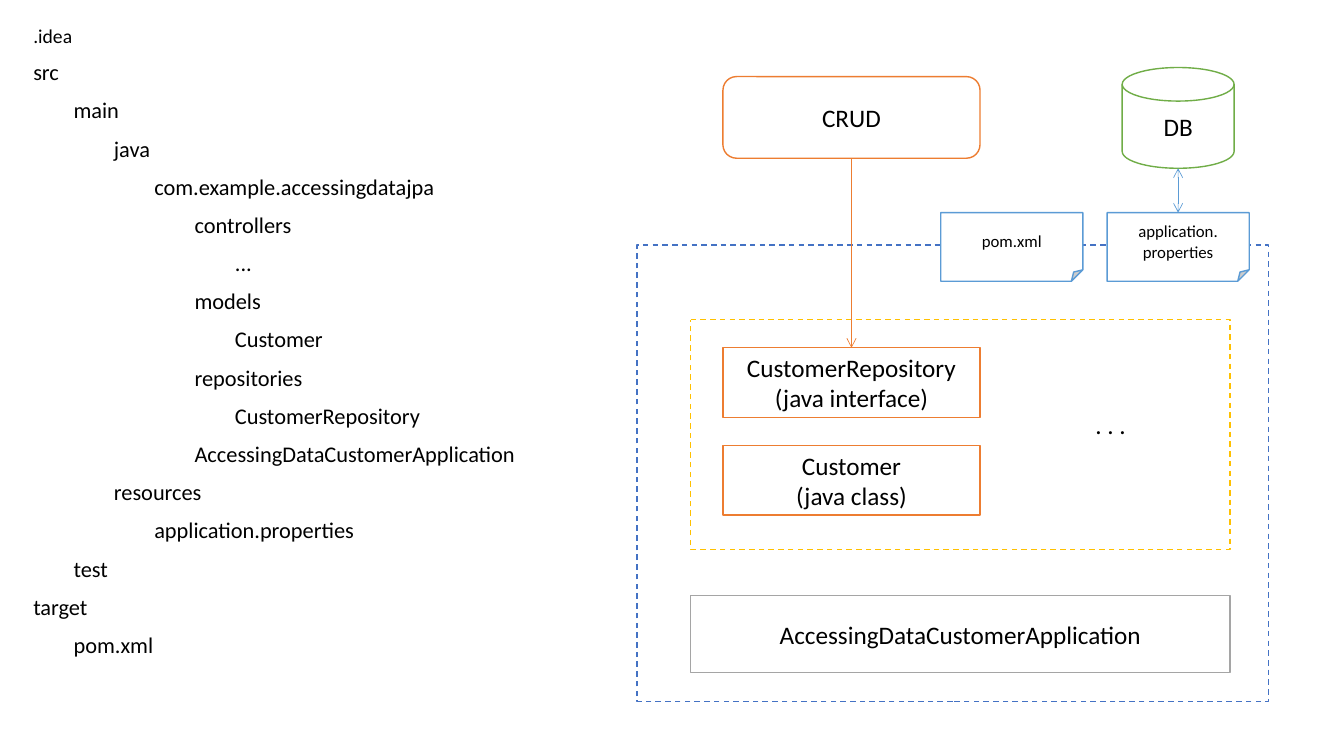
"""Build a slide with a project file tree beside its architecture diagram."""
import pptx
import pptx.util
import pptx.dml.color
import pptx.enum.dml
import pptx.enum.shapes
import pptx.enum.text
import pptx.oxml.xmlchemy

SLIDE_SIZE = 13.33, 7.5
FONT = "Calibri"
BLACK, WHITE = "000000", "FFFFFF"
BLUE, LIGHT_BLUE, GREEN = "4472C4", "5B9BD5", "70AD47"
ORANGE, YELLOW, GREY = "ED7D31", "FFC000", "A5A5A5"

TREE_BOX = 0.23, 0.21, 4.99, 7.09
TREE_INDENT = 0.4
FILE_TREE = [
    (0, ".idea"),
    (0, "src"),
    (1, "main"),
    (2, "java"),
    (3, "com.example.accessingdatajpa"),
    (4, "controllers"),
    (5, "..."),
    (4, "models"),
    (5, "Customer"),
    (4, "repositories"),
    (5, "CustomerRepository"),
    (4, "AccessingDataCustomerApplication"),
    (2, "resources"),
    (3, "application.properties"),
    (1, "test"),
    (0, "target"),
    (1, "pom.xml"),
]

CLASS_LEFT, CLASS_WIDTH, CLASS_HEIGHT = 7.17, 2.55, 0.69
PANEL_LEFT, PANEL_WIDTH = 6.85, 5.35
FILE_TOP, FILE_WIDTH, FILE_HEIGHT = 2.11, 1.41, 0.68
PROJECT, PACKAGE, CRUD, DATABASE = "project", "package", "crud", "database"
POM, PROPERTIES, CUSTOMER = "pom", "properties", "customer"
REPOSITORY, OTHERS, APPLICATION = "repository", "others", "application"

DIAGRAM = [
    (PROJECT, "RECTANGLE", (6.32, 2.43, 6.26, 4.53), BLUE, True, 18, ""),
    (DATABASE, "FLOWCHART_MAGNETIC_DISK", (11.13, 0.67, 1.11, 1), GREEN, False, 18, "DB"),
    (PACKAGE, "FLOWCHART_PROCESS", (PANEL_LEFT, 3.17, PANEL_WIDTH, 2.28), YELLOW, True, 18, ""),
    (POM, "FOLDED_CORNER", (9.33, FILE_TOP, FILE_WIDTH, FILE_HEIGHT),
     LIGHT_BLUE, False, 12, "pom.xml"),
    (PROPERTIES, "FOLDED_CORNER", (10.98, FILE_TOP, FILE_WIDTH, FILE_HEIGHT),
     LIGHT_BLUE, False, 12, "application.\nproperties"),
    (CUSTOMER, "RECTANGLE", (CLASS_LEFT, 4.42, CLASS_WIDTH, CLASS_HEIGHT),
     ORANGE, False, 18, "Customer\n(java class)"),
    (CRUD, "ROUNDED_RECTANGLE", (CLASS_LEFT, 0.76, CLASS_WIDTH, 0.81),
     ORANGE, False, 18, "CRUD"),
    (REPOSITORY, "RECTANGLE", (CLASS_LEFT, 3.45, CLASS_WIDTH, CLASS_HEIGHT),
     ORANGE, False, 18, "CustomerRepository\n(java interface)"),
    (OTHERS, "RECTANGLE", (10.53, 3.96, 0.97, 0.5), None, False, 18, ". . ."),
    (APPLICATION, "RECTANGLE", (PANEL_LEFT, 5.91, PANEL_WIDTH, 0.76),
     GREY, False, 18, "AccessingDataCustomerApplication"),
]
ARROWS = [
    (DATABASE, PROPERTIES, LIGHT_BLUE, ("headEnd", "tailEnd")),
    (CRUD, REPOSITORY, ORANGE, ("tailEnd",)),
]
BOTTOM_SITE, TOP_SITE = 2, 0


def rgb(value):
    return pptx.dml.color.RGBColor.from_string(value)


def inches(values):
    return [pptx.util.Inches(value) for value in values]


def append_element(parent, tag, **attributes):
    element = pptx.oxml.xmlchemy.OxmlElement(tag)
    for name, value in attributes.items():
        element.set(name, value)
    parent.append(element)


def format_runs(paragraph, size):
    for run in paragraph.runs:
        run.font.name = FONT
        run.font.size = pptx.util.Pt(size)
        run.font.color.rgb = rgb(BLACK)


def fill_tree(placeholder):
    placeholder.left, placeholder.top, placeholder.width, placeholder.height = inches(TREE_BOX)
    frame = placeholder.text_frame
    frame.text = "\n".join(name for _, name in FILE_TREE)
    frame.auto_size = pptx.enum.text.MSO_AUTO_SIZE.NONE
    frame.vertical_anchor = pptx.enum.text.MSO_ANCHOR.TOP
    for index, (paragraph, (depth, _)) in enumerate(zip(frame.paragraphs, FILE_TREE)):
        paragraph.level = depth
        paragraph.line_spacing = 0.9
        paragraph.space_before = pptx.util.Pt(10)
        properties = paragraph._p.get_or_add_pPr()
        properties.set("marL", str(int(pptx.util.Inches(depth * TREE_INDENT))))
        properties.set("indent", "0")
        append_element(properties, "a:buNone")
        format_runs(paragraph, 16 if index else 14)


def add_box(slide, kind, box, color, dashed, size, text):
    shape_type = getattr(pptx.enum.shapes.MSO_SHAPE, kind)
    shape = slide.shapes.add_shape(shape_type, *inches(box))
    shape.shadow.inherit = False
    shape.fill.solid()
    shape.fill.fore_color.rgb = rgb(WHITE)
    if color:
        shape.line.color.rgb = rgb(color)
        shape.line.width = pptx.util.Pt(1)
    else:
        shape.line.fill.background()
    if dashed:
        shape.line.dash_style = pptx.enum.dml.MSO_LINE.DASH
    frame = shape.text_frame
    frame.text = text
    frame.vertical_anchor = pptx.enum.text.MSO_ANCHOR.MIDDLE
    for paragraph in frame.paragraphs:
        paragraph.alignment = pptx.enum.text.PP_ALIGN.CENTER
        format_runs(paragraph, size)
    return shape


def add_arrow(slide, upper, lower, color, ends):
    connector = slide.shapes.add_connector(
        pptx.enum.shapes.MSO_CONNECTOR.STRAIGHT,
        upper.left + upper.width // 2, upper.top + upper.height,
        lower.left + lower.width // 2, lower.top)
    if upper.auto_shape_type != pptx.enum.shapes.MSO_SHAPE.FLOWCHART_MAGNETIC_DISK:
        connector.begin_connect(upper, BOTTOM_SITE)
    connector.end_connect(lower, TOP_SITE)
    connector.line.color.rgb = rgb(color)
    connector.line.width = pptx.util.Pt(0.5)
    line = connector.line._get_or_add_ln()
    for end in ends:
        append_element(line, f"a:{end}", type="arrow")
    append_element(connector._element.spPr, "a:effectLst")


def main():
    presentation = pptx.Presentation()
    presentation.slide_width, presentation.slide_height = inches(SLIDE_SIZE)
    slide = presentation.slides.add_slide(presentation.slide_layouts[1])
    title = slide.shapes.title._element
    title.getparent().remove(title)
    fill_tree(slide.placeholders[1])
    boxes = {name: add_box(slide, *details) for name, *details in DIAGRAM}
    for upper, lower, color, ends in ARROWS:
        add_arrow(slide, boxes[upper], boxes[lower], color, ends)
    presentation.save("out.pptx")


if __name__ == "__main__":
    main()
